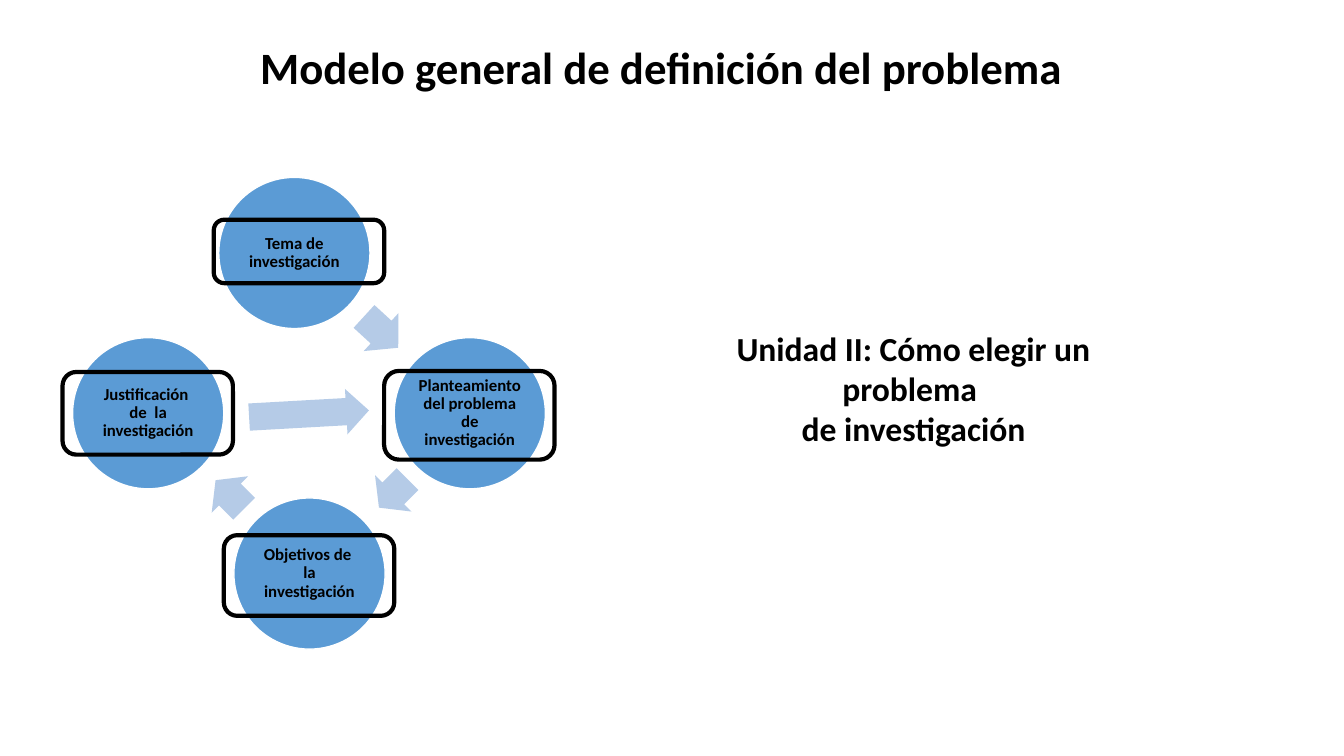
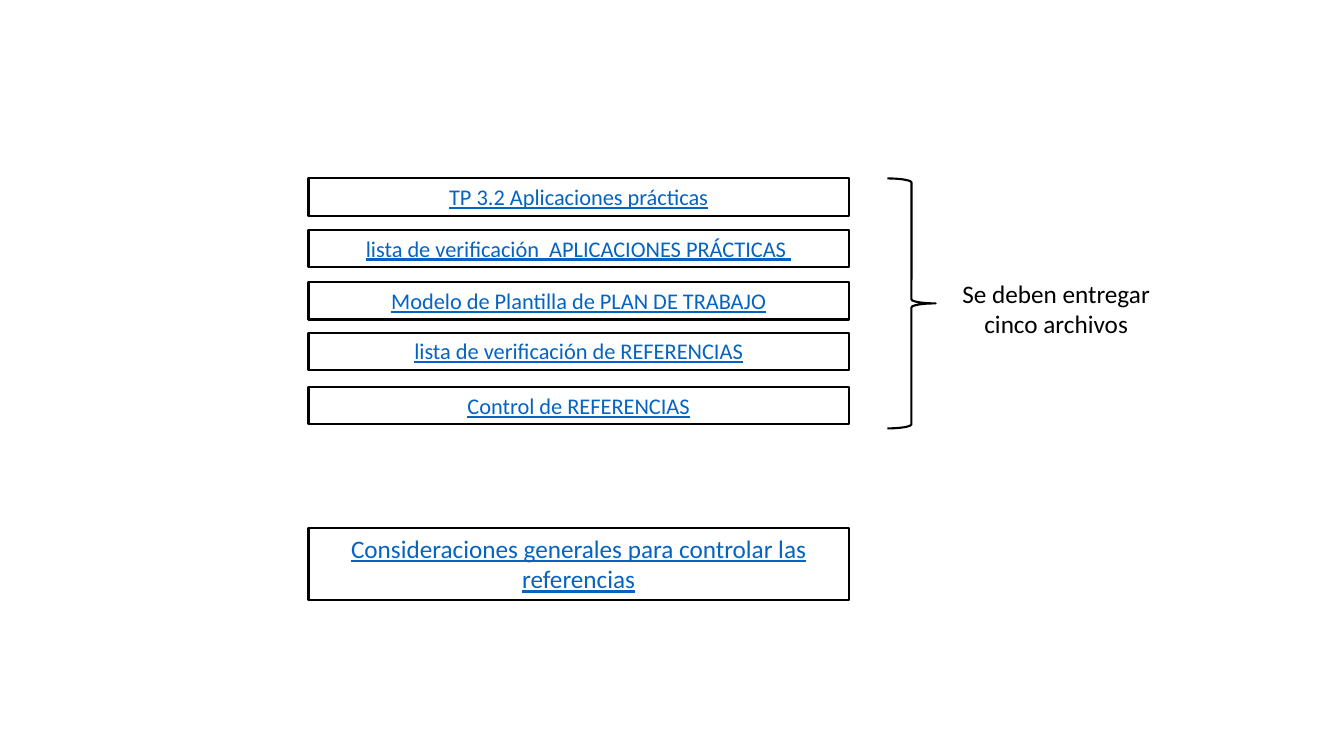
from pptx import Presentation
from pptx.dml.color import RGBColor
from pptx.enum.shapes import MSO_SHAPE as Shape
from pptx.enum.text import MSO_ANCHOR as Anchor, PP_ALIGN as Align
from pptx.util import Emu, Pt

SCALE = 9144  # EMU per px, 100 px to the inch
FONT = "Calibri"
BLACK = RGBColor(0x00, 0x00, 0x00)
WHITE = RGBColor(0xFF, 0xFF, 0xFF)
BLUE = RGBColor(0x5B, 0x9B, 0xD5)
PALE_BLUE = RGBColor(0xB5, 0xCB, 0xE7)
LINK_BLUE = RGBColor(0x05, 0x63, 0xC1)


def px(value):
    return Emu(value * SCALE)


class Deck:
    def __init__(self):
        self.presentation = Presentation()
        self.presentation.slide_width = px(1333)
        self.presentation.slide_height = px(750)
        self.slide = None

    def new_slide(self):
        layout = self.presentation.slide_layouts[6]
        self.slide = self.presentation.slides.add_slide(layout)

    def set_text(self, shape, text, size, color=BLACK, bold=False,
                 underline=False, spacing=1.0, anchor=Anchor.TOP):
        frame = shape.text_frame
        frame.word_wrap = True
        frame.vertical_anchor = anchor
        frame.text = text
        for paragraph in frame.paragraphs:
            paragraph.alignment = Align.CENTER
            paragraph.line_spacing = spacing
            for run in paragraph.runs:
                run.font.name = FONT
                run.font.size = Pt(size)
                run.font.bold = bold
                run.font.underline = underline
                run.font.color.rgb = color

    def text(self, box, text, size, **style):
        shape = self.slide.shapes.add_textbox(*map(px, box))
        self.set_text(shape, text, size, **style)

    def shape(self, kind, box, fill=None, line=None, width=1):
        shape = self.slide.shapes.add_shape(kind, *map(px, box))
        shape.shadow.inherit = False
        if fill is None:
            shape.fill.background()
        else:
            shape.fill.solid()
            shape.fill.fore_color.rgb = fill
        if line is None:
            shape.line.fill.background()
        else:
            shape.line.color.rgb = line
            shape.line.width = Pt(width)
        return shape

    def circle(self, left, top, text):
        circle = self.shape(Shape.OVAL, (left, top, 150, 150), BLUE, WHITE)
        frame = circle.text_frame
        frame.margin_left = frame.margin_right = px(2)
        frame.margin_top = frame.margin_bottom = px(2)
        self.set_text(circle, text, 12, bold=True, spacing=0.9,
                      anchor=Anchor.MIDDLE)

    def arrow(self, box, rotation):
        arrow = self.shape(Shape.RIGHT_ARROW, box, PALE_BLUE)
        arrow.adjustments[0] = 0.6
        arrow.adjustments[1] = 0.5
        arrow.rotation = rotation

    def frame(self, left, top, height):
        self.shape(Shape.ROUNDED_RECTANGLE, (left, top, 169, height),
                   line=BLACK, width=3)

    def link_box(self, top, height, text, size):
        box = self.shape(Shape.RECTANGLE, (306, top, 536, height),
                         line=BLACK, width=1.5)
        self.set_text(box, text, size, color=LINK_BLUE, underline=True)


def build_model(deck):
    deck.new_slide()
    deck.text((81, 11, 1150, 116), "Modelo general de definición del problema",
              32, bold=True, spacing=0.9, anchor=Anchor.MIDDLE)

    # Cycle of steps
    for left, top, label in (
        (217, 176, "Tema de investigación"),
        (391, 335, "Planteamiento del problema de investigación"),
        (232, 494, "Objetivos de  la investigación"),
        (72, 335, "Justificación  de  la investigación"),
    ):
        deck.circle(left, top, label)
    for box, rotation in (
        ((355, 304, 46, 51), 42.5),
        ((370, 464, 40, 51), 135),
        ((208, 465, 40, 51), 225),
        ((247, 388, 119, 45), 356.8),
    ):
        deck.arrow(box, rotation)

    # Frames around the labels
    for left, top, height in ((212, 218, 63), (381, 368, 88),
                              (222, 531, 80), (62, 369, 82)):
        deck.frame(left, top, height)

    # Unit name
    deck.text((720, 320, 372, 131),
              "Unidad II: Cómo elegir un problema \vde investigación",
              24, bold=True)


def build_files(deck):
    deck.new_slide()

    # Files to hand in
    for top, label in (
        (177, "TP 3.2 Aplicaciones prácticas"),
        (228, "lista de verificación  APLICACIONES PRÁCTICAS "),
        (280, "Modelo de Plantilla de PLAN DE TRABAJO"),
        (330, "lista de verificación de REFERENCIAS"),
        (384, "Control de REFERENCIAS"),
    ):
        deck.link_box(top, 37, label, 16)

    # Brace and its remark
    deck.shape(Shape.RIGHT_BRACE, (880, 177, 48, 248), line=BLACK, width=1.5)
    deck.text((928, 271, 239, 71), "Se deben entregar\ncinco archivos", 18)

    # General advice
    deck.link_box(
        524, 71, "Consideraciones generales para controlar las referencias", 18)


def main():
    deck = Deck()
    build_model(deck)
    build_files(deck)
    deck.presentation.save("out.pptx")


if __name__ == "__main__":
    main()
